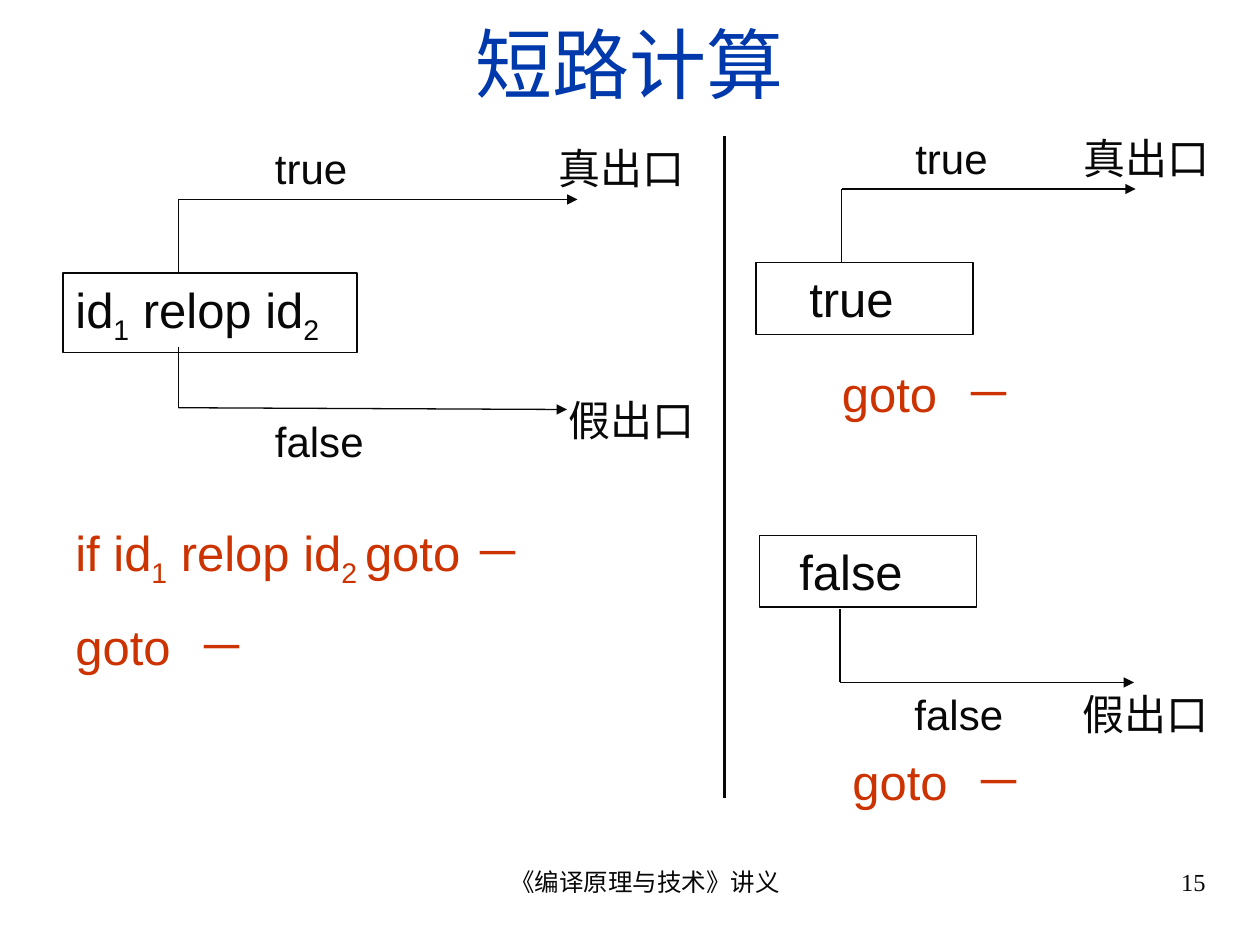
import pptx
import pptx.util
import pptx.dml.color
import pptx.enum.shapes
import pptx.enum.text
from dataclasses import dataclass
from lxml import etree

Pt = pptx.util.Pt
Color = pptx.dml.color.RGBColor.from_string
Align = pptx.enum.text.PP_ALIGN
Anchor = pptx.enum.text.MSO_ANCHOR
NS = "{http://schemas.openxmlformats.org/drawingml/2006/main}"


@dataclass(frozen=True)
class Theme:
    ink: str = "080808"
    blue: str = "0039AC"
    red: str = "CC3300"
    sans: str = "Arial"
    serif: str = "Times New Roman"
    title: int = 44
    code: int = 28
    label: int = 24
    foot: int = 14


theme = Theme()
deck = pptx.Presentation()
deck.slide_width, deck.slide_height = Pt(720), Pt(540)
slide = deck.slides.add_slide(deck.slide_layouts[6])


def write(area, words, size, color=theme.ink, font=theme.sans,
          align=Align.LEFT, inset=0, frame=False, anchor=Anchor.TOP):
    """Add text at area; parts between underscores become subscripts."""
    place = [Pt(n) for n in area]
    if frame:
        box = slide.shapes.add_shape(
            pptx.enum.shapes.MSO_SHAPE.RECTANGLE, *place)
        box.shadow.inherit = False
        box.fill.background()
        box.line.color.rgb = Color(theme.ink)
        box.line.width = Pt(0.75)
    else:
        box = slide.shapes.add_textbox(*place)
    body = box.text_frame
    body.word_wrap = True
    body.vertical_anchor = anchor
    body.margin_left = Pt(7.2 + inset)
    para = body.paragraphs[0]
    para.alignment = align
    if "\t" in words:
        props = para._p.get_or_add_pPr()
        tabs = etree.SubElement(props, NS + "tabLst")
        etree.SubElement(tabs, NS + "tab", pos=str(Pt(70)), algn="l")
    para.font.size = Pt(size)
    para.font.name = font
    para.font.color.rgb = Color(color)
    for i, part in enumerate(words.split("_")):
        if part:
            run = para.add_run()
            run.text = part
            if frame:
                run.font.color.rgb = Color(color)
            if i % 2:
                run._r.get_or_add_rPr().set("baseline", "-25000")


def draw(start, end, width=0.75, arrow=False):
    line = slide.shapes.add_connector(
        pptx.enum.shapes.MSO_CONNECTOR.STRAIGHT,
        *[Pt(n) for n in start + end])
    line.line.color.rgb = Color(theme.ink)
    line.line.width = Pt(width)
    if arrow:
        etree.SubElement(line.line._get_or_add_ln(), NS + "tailEnd",
                         type="triangle")
    etree.SubElement(line._element.spPr, NS + "effectLst")


write((24, 6, 672, 60), "短路计算", theme.title, theme.blue,
      align=Align.CENTER, anchor=Anchor.MIDDLE)

# Boxed conditions
for area, words, inset in [
    ((36, 156, 168, 45.5), "id_1_ relop id_2_", 0),
    ((432, 150, 124, 41), "true", 23.3),
    ((434, 306, 124, 41), "false", 15.6),
]:
    write(area, words, theme.code, inset=inset, frame=True)

# Generated jumps
write((36, 295, 294, 45.5), "if id_1_ relop id_2 _goto －", theme.code, theme.red)
for left, top in [(36, 349), (474, 204), (480, 426)]:
    write((left, top, 132, 41), "goto\t－", theme.code, theme.red)

# Each exit: a stem from the box, then an arrow
for foot, bend, tip in [
    ((102, 156), (102, 114), (330, 114)),
    ((102, 198), (102, 233), (324, 234)),
    ((481, 150), (481, 108), (649, 108)),
    ((480, 348), (480, 390), (648, 390)),
]:
    draw(foot, bend)
    draw(bend, tip, arrow=True)
draw((414, 78), (414, 456), width=1.5)

# Exit labels
for words, left, top, width in [
    ("true", 150, 78, 68), ("真出口", 312, 78, 92),
    ("false", 150, 234, 68), ("假出口", 318, 222, 92),
    ("true", 516, 72, 72), ("真出口", 612, 72, 102),
    ("false", 515.5, 390, 72), ("假出口", 611.5, 390, 102),
]:
    write((left, top, width, 36), words, theme.label)

# Footer
write((246, 492, 228, 37.5), "《编译原理与技术》讲义", theme.foot,
      font=theme.serif, align=Align.CENTER, inset=17.3)
write((516, 492, 180, 37.5), "15", theme.foot,
      font=theme.serif, align=Align.RIGHT)

deck.save("out.pptx")
